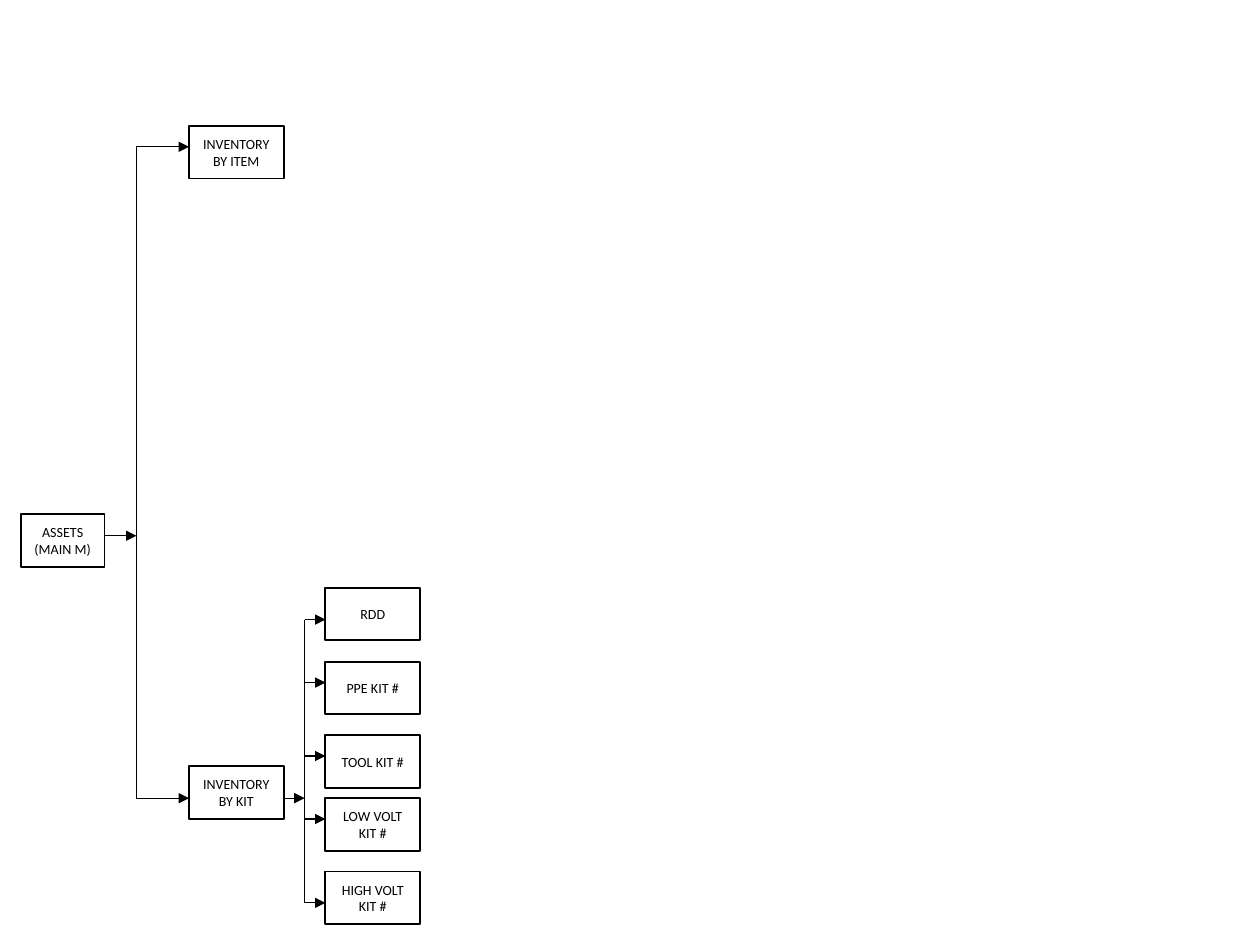
"""Builds a slide with the inventory tree of the assets menu."""
from dataclasses import dataclass

from lxml import etree
from pptx import Presentation
from pptx.dml.color import RGBColor
from pptx.enum.shapes import MSO_CONNECTOR, MSO_SHAPE
from pptx.enum.text import MSO_ANCHOR, PP_ALIGN
from pptx.oxml.ns import qn
from pptx.slide import Slide
from pptx.util import Cm, Pt

RECT = MSO_SHAPE.RECTANGLE
STRAIGHT = MSO_CONNECTOR.STRAIGHT
MIDDLE = MSO_ANCHOR.MIDDLE
CENTER = PP_ALIGN.CENTER
BLACK = RGBColor(0x00, 0x00, 0x00)
FONT = "Calibri"
BOX_W, BOX_H = 1.91, 1.06
MAIN_X, MAIN_W = 0.42, 1.69
MAIN_TRUNK_X, INVENTORY_X = 2.75, 3.81
KIT_TRUNK_X, KIT_X = 6.14, 6.56


@dataclass(frozen=True)
class Node:
    """A labelled box and the height of the arrow that belongs to it, in cm."""
    text: str
    x: float
    y: float
    arrow_y: float
    w: float = BOX_W


MAIN = Node("ASSETS (MAIN M)", MAIN_X, 10.37, 10.8, MAIN_W)
BY_ITEM = Node("INVENTORY BY ITEM", INVENTORY_X, 2.54, 2.96)
BY_KIT = Node("INVENTORY BY KIT", INVENTORY_X, 15.45, 16.09)
KITS = [
    Node("RDD", KIT_X, 11.85, 12.49),
    Node("PPE KIT #", KIT_X, 13.34, 13.76),
    Node("TOOL KIT #", KIT_X, 14.82, 15.24),
    Node("LOW VOLT KIT #", KIT_X, 16.09, 16.51),
    Node("HIGH VOLT KIT #", KIT_X, 17.57, 18.2),
]


def add_box(s: Slide, node: Node) -> None:
    """Draw one outlined box with centred text."""
    sp = s.shapes.add_shape(RECT, Cm(node.x), Cm(node.y), Cm(node.w), Cm(BOX_H))
    sp.shadow.inherit = False
    sp.fill.background()
    sp.line.color.rgb = BLACK
    sp.line.width = Pt(1)
    tf = sp.text_frame
    tf.word_wrap = True
    tf.vertical_anchor = MIDDLE
    p = tf.paragraphs[0]
    p.alignment = CENTER
    r = p.add_run()
    r.text = node.text
    r.font.name = FONT
    r.font.size = Pt(8)
    r.font.color.rgb = BLACK


def add_line(s: Slide, x1: float, y1: float, x2: float, y2: float,
             arrow: bool = False) -> None:
    """Draw a straight line, with an arrowhead at its end if asked."""
    cxn = s.shapes.add_connector(STRAIGHT, Cm(x1), Cm(y1), Cm(x2), Cm(y2))
    cxn.line.color.rgb = BLACK
    cxn.line.width = Pt(0.75)
    if arrow:
        etree.SubElement(cxn.line._get_or_add_ln(), qn("a:tailEnd"), type="triangle")
    etree.SubElement(cxn._element.spPr, qn("a:effectLst"))


def add_branch(s: Slide, parent: Node, trunk_x: float, children: list[Node]) -> None:
    """Join a parent to its children through a vertical trunk."""
    add_line(s, parent.x + parent.w, parent.arrow_y, trunk_x, parent.arrow_y, True)
    add_line(s, trunk_x, children[0].arrow_y, trunk_x, children[-1].arrow_y)
    for child in children:
        add_line(s, trunk_x, child.arrow_y, child.x, child.arrow_y, True)
        add_box(s, child)


def main() -> None:
    """Build and save the slide."""
    prs = Presentation()
    prs.slide_width, prs.slide_height = Cm(25.4), Cm(19.05)
    s = prs.slides.add_slide(prs.slide_layouts[6])
    add_box(s, MAIN)
    add_branch(s, MAIN, MAIN_TRUNK_X, [BY_ITEM, BY_KIT])
    add_branch(s, BY_KIT, KIT_TRUNK_X, KITS)
    prs.save("out.pptx")


main()
